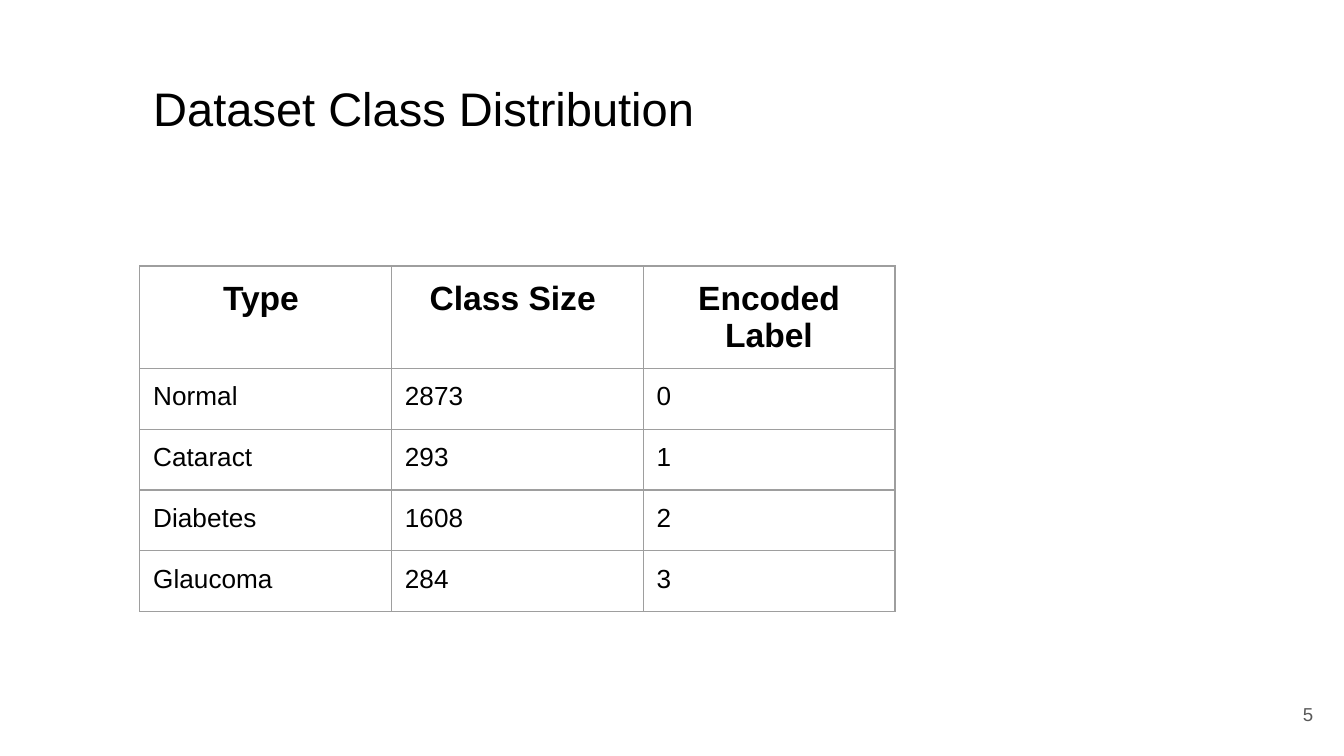
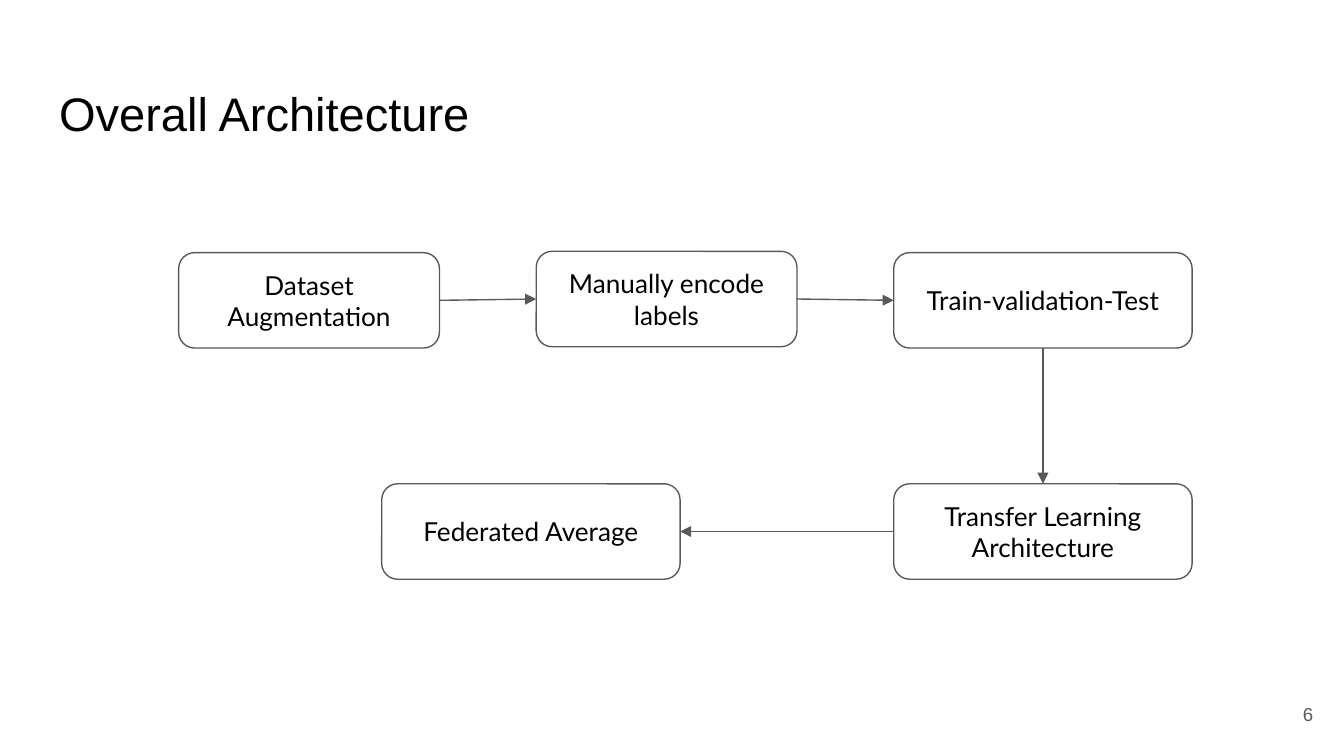
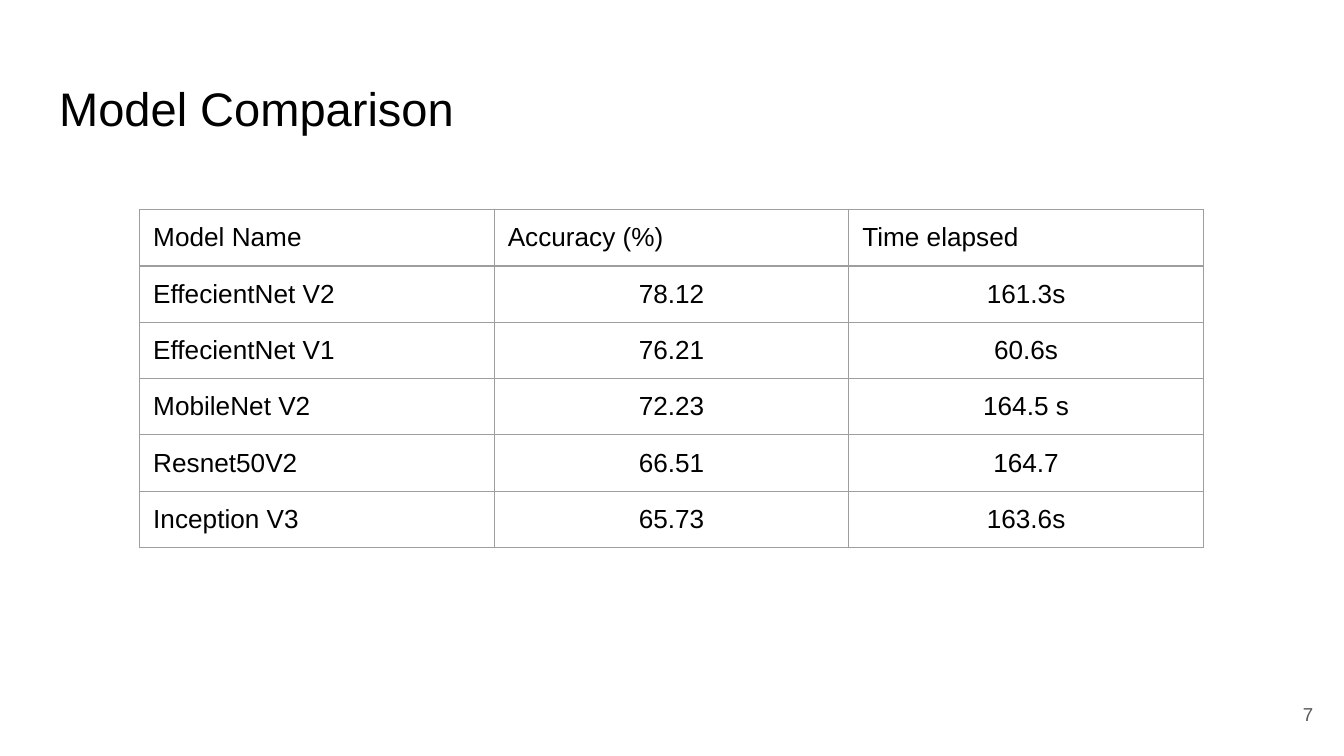
from dataclasses import dataclass
from itertools import product

from lxml.etree import SubElement
from pptx import Presentation
from pptx.dml.color import RGBColor as Color
from pptx.enum.shapes import MSO_CONNECTOR as Connector, MSO_SHAPE as Shape
from pptx.enum.text import MSO_ANCHOR as Anchor, MSO_AUTO_SIZE as AutoSize, PP_ALIGN as Align
from pptx.oxml.ns import qn
from pptx.util import Inches, Pt


@dataclass(frozen=True)
class Theme:
    font: str = "Arial"
    flow_font: str = "Lato"
    ink: str = "000000"
    paper: str = "FFFFFF"
    muted: str = "595959"
    rule: str = "9E9E9E"
    title_size: float = 25.2
    header_size: float = 18
    body_size: float = 14
    number_size: float = 10
    line_width: float = 0.75


THEME = Theme()
COLUMNS, ROWS = 100, 56.25  # square grid cells, a tenth of an inch wide
TITLE_ONLY = 5
TOP, LEFT, BOTTOM, RIGHT = range(4)  # connection sites of a box


def grid(*cells):
    return [Inches(cell / 10) for cell in cells]


# Text
def write(frame, text, size, font=THEME.font, color=THEME.ink, bold=False,
          align=Align.LEFT, anchor=Anchor.TOP):
    frame.word_wrap = True
    frame.auto_size = AutoSize.NONE
    frame.vertical_anchor = anchor
    inset, = grid(1)
    frame.margin_left = frame.margin_right = inset
    frame.margin_top = frame.margin_bottom = inset
    write_span(frame.paragraphs[0], text, size, font, color, bold, align)


def write_span(para, text, size, font, color, bold, align):
    para.alignment = align
    span = para.add_run()
    span.text = text
    span.font.name = font
    span.font.size = Pt(size)
    span.font.bold = bold
    span.font.color.rgb = Color.from_string(color)


# Page with its title and number
def add_page(deck, number, title, left=3.4, top=4.9, width=93.2):
    page = deck.slides.add_slide(deck.slide_layouts[TITLE_ONLY])
    page.background.fill.solid()
    page.background.fill.fore_color.rgb = Color.from_string(THEME.paper)
    heading = page.shapes.title
    heading.left, heading.top, heading.width, heading.height = grid(left, top, width, 6.3)
    write(heading.text_frame, title, THEME.title_size)
    box = page.shapes.add_textbox(*grid(92.7, 51, 6, 4.3))
    write(box.text_frame, str(number), THEME.number_size, color=THEME.muted,
          align=Align.RIGHT, anchor=Anchor.MIDDLE)
    return page


# Tables
def outline_cell(cell):
    properties = cell._tc.get_or_add_tcPr()
    for position, side in enumerate(("lnL", "lnR", "lnT", "lnB")):
        border = SubElement(properties, qn(f"a:{side}"), w=str(Pt(THEME.line_width)))
        fill = SubElement(border, qn("a:solidFill"))
        SubElement(fill, qn("a:srgbClr"), val=THEME.rule)
        properties.insert(position, border)


def add_grid_table(page, top, column_width, row_heights, records, style):
    """Draw records; style(row, column) gives the text options of a cell."""
    row_count, column_count = len(records), len(records[0])
    table = page.shapes.add_table(
        row_count, column_count,
        *grid(10.4, top, column_width * column_count, sum(row_heights))).table
    table.first_row = table.horz_banding = False
    for column in table.columns:
        column.width, = grid(column_width)
    for row, height in zip(table.rows, row_heights):
        row.height, = grid(height)
    for row, column in product(range(row_count), range(column_count)):
        cell = table.cell(row, column)
        cell.fill.background()
        outline_cell(cell)
        cell.margin_left, cell.margin_right, cell.margin_top, cell.margin_bottom = grid(1, 1, 1, 1)
        cell.vertical_anchor = Anchor.TOP
        options = dict(size=THEME.body_size, font=THEME.font, color=THEME.ink,
                       bold=False, align=Align.LEFT)
        options.update(style(row, column))
        write_span(cell.text_frame.paragraphs[0], records[row][column], **options)


# Flow chart
def add_step(page, text, left, top, width):
    step = page.shapes.add_shape(Shape.ROUNDED_RECTANGLE, *grid(left, top, width, 7.1))
    step.shadow.inherit = False
    step.fill.solid()
    step.fill.fore_color.rgb = Color.from_string(THEME.paper)
    step.line.color.rgb = Color.from_string(THEME.muted)
    step.line.width = Pt(THEME.line_width)
    write(step.text_frame, text, THEME.body_size, font=THEME.flow_font,
          align=Align.CENTER, anchor=Anchor.MIDDLE)
    return step


def add_arrow(page, start, start_site, end, end_site):
    arrow = page.shapes.add_connector(Connector.STRAIGHT, 0, 0, 0, 0)
    arrow.begin_connect(start, start_site)
    arrow.end_connect(end, end_site)
    arrow.line.color.rgb = Color.from_string(THEME.muted)
    arrow.line.width = Pt(THEME.line_width)
    SubElement(arrow.line._get_or_add_ln(), qn("a:tailEnd"), type="triangle")
    SubElement(arrow._element.spPr, qn("a:effectLst"))


# Pages
def add_class_page(deck):
    page = add_page(deck, 5, "Dataset Class Distribution", left=10.4, width=56.2)
    records = [
        ("Type ", "Class Size ", "Encoded Label"),
        ("Normal", "2873", "0"),
        ("Cataract", "293", "1"),
        ("Diabetes", "1608", "2"),
        ("Glaucoma", "284", "3"),
    ]
    header = dict(size=THEME.header_size, bold=True, align=Align.CENTER)
    add_grid_table(page, 19.8, 18.73, [5.2] + [4.53] * 4, records,
                   lambda row, column: {} if row else header)


def add_architecture_page(deck):
    page = add_page(deck, 6, "Overall Architecture", top=5.3)
    first, pitch, narrow, wide = 13.3, 26.6, 19.4, 22.2
    upper, lower = 18.8, 36
    last = first + 2 * pitch
    augment = add_step(page, "Dataset Augmentation", first, upper, narrow)
    encode = add_step(page, "Manually encode labels", first + pitch, upper - 0.1, narrow)
    split = add_step(page, "Train-validation-Test", last, upper, wide)
    transfer = add_step(page, "Transfer Learning Architecture", last, lower, wide)
    average = add_step(page, "Federated Average", 28.4, lower, wide)
    add_arrow(page, augment, RIGHT, encode, LEFT)
    add_arrow(page, encode, RIGHT, split, LEFT)
    add_arrow(page, split, BOTTOM, transfer, TOP)
    add_arrow(page, transfer, LEFT, average, RIGHT)


def add_model_page(deck):
    page = add_page(deck, 7, "Model Comparison")
    records = [
        ("Model Name", "Accuracy (%)", "Time elapsed"),
        ("EffecientNet V2", "78.12", "161.3s"),
        ("EffecientNet V1", "76.21", "60.6s"),
        ("MobileNet V2", "72.23", "164.5 s"),
        ("Resnet50V2", "66.51", "164.7"),
        ("Inception V3", "65.73", "163.6s"),
    ]
    add_grid_table(page, 15.6, 26.38, [4.18] * len(records), records,
                   lambda row, column: {"align": Align.CENTER} if row and column else {})


def main():
    deck = Presentation()
    deck.slide_width, deck.slide_height = grid(COLUMNS, ROWS)
    add_class_page(deck)
    add_architecture_page(deck)
    add_model_page(deck)
    deck.save("out.pptx")


if __name__ == "__main__":
    main()
